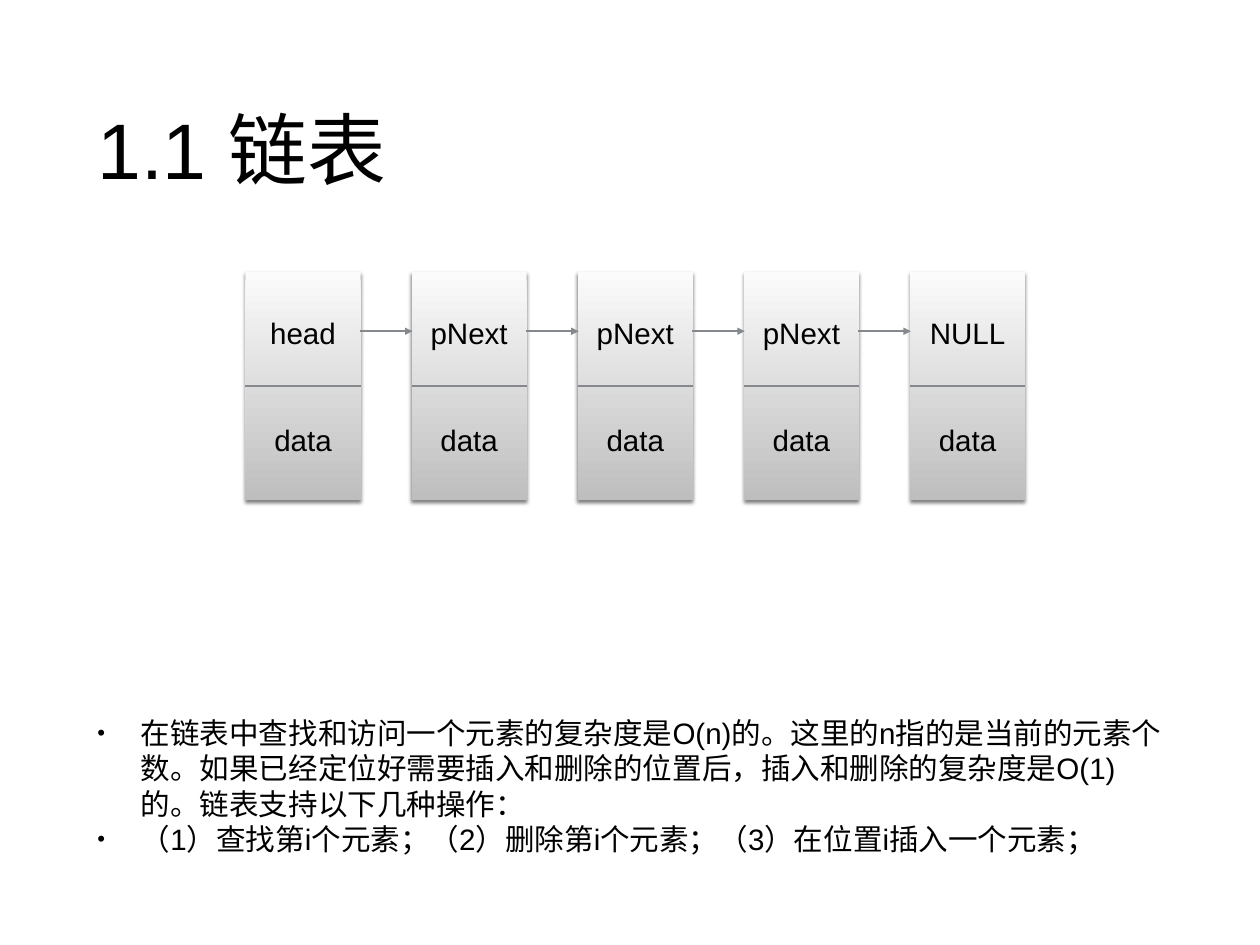
import pptx
import pptx.dml.color
import pptx.enum.shapes
import pptx.enum.text
import pptx.oxml
import pptx.oxml.ns
import pptx.util
from pptx.util import Inches

BLACK = pptx.dml.color.RGBColor(0x00, 0x00, 0x00)
LINE_GRAY = pptx.dml.color.RGBColor(0x85, 0x88, 0x8D)
NODE_TOP_GRAY = pptx.dml.color.RGBColor(0xFB, 0xFB, 0xFB)
NODE_BOTTOM_GRAY = pptx.dml.color.RGBColor(0xBE, 0xBE, 0xBE)
NAMESPACE = pptx.oxml.ns.nsdecls("a")
ANCHOR = pptx.enum.text.MSO_ANCHOR


def write_text(shape, lines, size, anchor):
    frame = shape.text_frame
    frame.word_wrap = True
    frame.vertical_anchor = anchor
    frame.margin_left = frame.margin_right = Inches(0.06)
    frame.margin_top = frame.margin_bottom = Inches(0.06)
    for index, line in enumerate(lines):
        paragraph = frame.add_paragraph() if index else frame.paragraphs[0]
        run = paragraph.add_run()
        run.text = line
        run.font.name = "Arial"
        run.font.size = pptx.util.Pt(size)
        run.font.color.rgb = BLACK
    return frame.paragraphs


def add_line(left, right, y):
    connector = slide.shapes.add_connector(
        pptx.enum.shapes.MSO_CONNECTOR.STRAIGHT,
        Inches(left), Inches(y), Inches(right), Inches(y))
    connector.line.color.rgb = LINE_GRAY
    connector.line.width = pptx.util.Pt(2)
    connector._element.spPr.append(
        pptx.oxml.parse_xml(f"<a:effectLst {NAMESPACE}/>"))
    return connector


presentation = pptx.Presentation()
presentation.slide_width = Inches(14.22)
presentation.slide_height = Inches(10.67)
slide = presentation.slides.add_slide(presentation.slide_layouts[6])

# Title
title = slide.shapes.add_textbox(
    Inches(1.04), Inches(0.49), Inches(12.14), Inches(2.36))
write_text(title, ["1.1 链表"], 64, ANCHOR.MIDDLE)

# Bulleted explanation
body = slide.shapes.add_textbox(
    Inches(1.04), Inches(2.85), Inches(12.14), Inches(6.88))
explanation = [
    "在链表中查找和访问一个元素的复杂度是O(n)的。这里的n指的是当前的元素个数。"
    "如果已经定位好需要插入和删除的位置后，插入和删除的复杂度是O(1)的。"
    "链表支持以下几种操作：",
    "（1）查找第i个元素；（2）删除第i个元素；（3）在位置i插入一个元素；",
]
for paragraph in write_text(body, explanation, 24, ANCHOR.BOTTOM):
    properties = paragraph._p.get_or_add_pPr()
    properties.set("marL", str(Inches(0.49)))
    properties.set("indent", str(-Inches(0.49)))
    properties.set("hangingPunct", "0")
    for bullet in ('buSzPct {} val="75000"', 'buFont {} typeface="Arial"',
                   'buChar {} char="•"'):
        properties.append(
            pptx.oxml.parse_xml(f"<a:{bullet.format(NAMESPACE)}/>"))

# List nodes
node_left, node_top, node_width, node_height = 2.77, 3.07, 1.3, 2.58
node_pitch = 1.875
node_labels = ["head", "pNext", "pNext", "pNext", "NULL"]
nodes = []
for index, label in enumerate(node_labels):
    node = slide.shapes.add_shape(
        pptx.enum.shapes.MSO_SHAPE.RECTANGLE,
        Inches(node_left + index * node_pitch), Inches(node_top),
        Inches(node_width), Inches(node_height))
    node.fill.gradient()
    node.fill.gradient_angle = 270
    for stop, position, color in zip(
            node.fill.gradient_stops, (0, 1), (NODE_TOP_GRAY, NODE_BOTTOM_GRAY)):
        stop.position = position
        stop.color.rgb = color
    node.line.fill.background()
    node._element.spPr.append(pptx.oxml.parse_xml(
        f'<a:effectLst {NAMESPACE}><a:outerShdw blurRad="38100" dist="25400" '
        'dir="5400000" rotWithShape="0"><a:srgbClr val="000000">'
        '<a:alpha val="50000"/></a:srgbClr></a:outerShdw></a:effectLst>'))
    paragraphs = write_text(node, [label, "data"], 24, ANCHOR.MIDDLE)
    for paragraph in paragraphs:
        paragraph.alignment = pptx.enum.text.PP_ALIGN.CENTER
    paragraphs[1].space_before = pptx.util.Pt(58)
    nodes.append(node)

# Dividers between pointer and data
for index, node in enumerate(nodes):
    left = node_left + index * node_pitch
    divider = add_line(left, left + node_width, node_top + node_height / 2)
    divider.begin_connect(node, 1)
    divider.end_connect(node, 3)

# Arrows to the next node
for index in range(len(nodes) - 1):
    left = node_left + index * node_pitch
    arrow = add_line(left + node_width - 0.01, left + node_pitch + 0.01, 3.74)
    arrow.line._get_or_add_ln().append(pptx.oxml.parse_xml(
        f'<a:tailEnd {NAMESPACE} type="triangle" w="med" len="med"/>'))

presentation.save("out.pptx")
